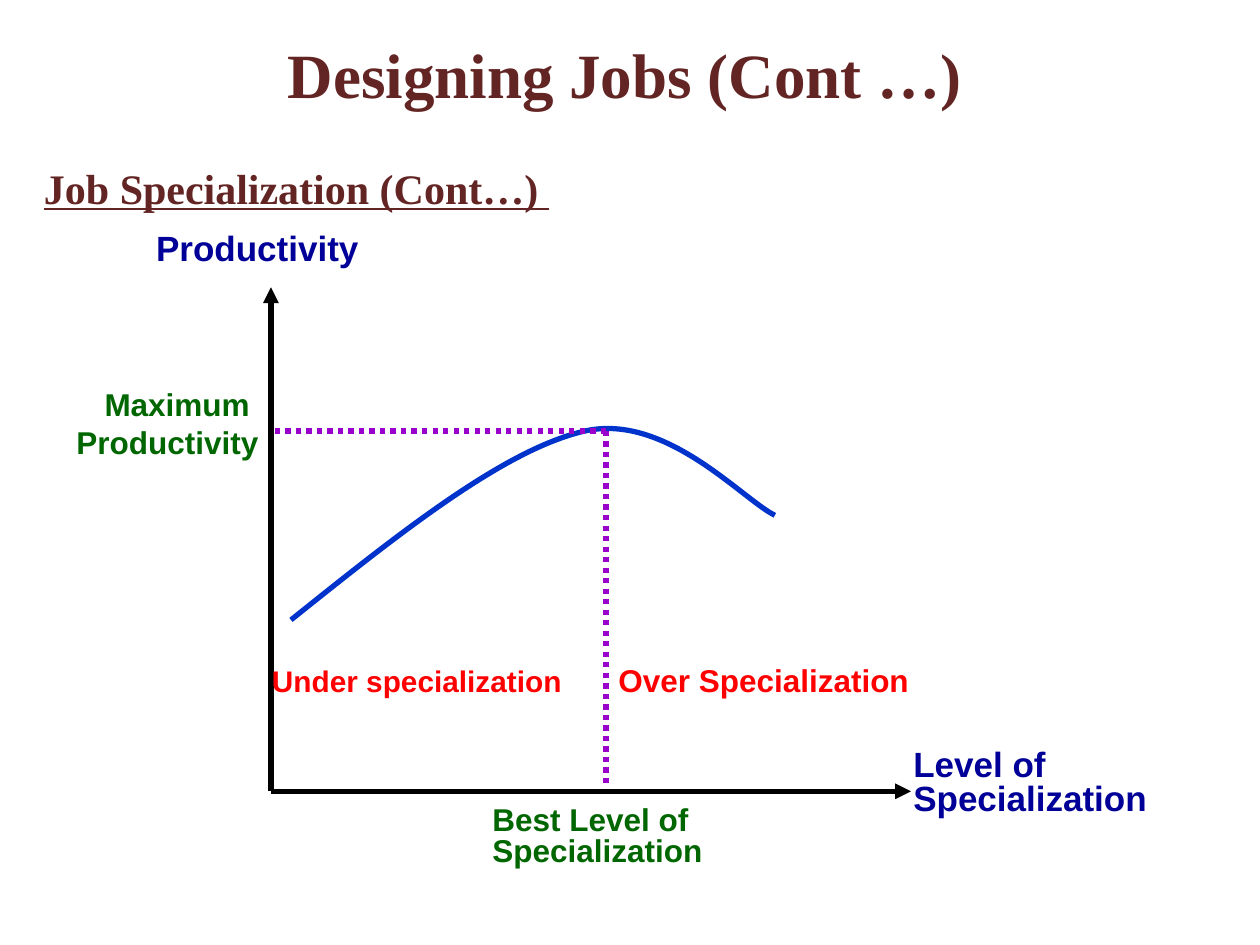
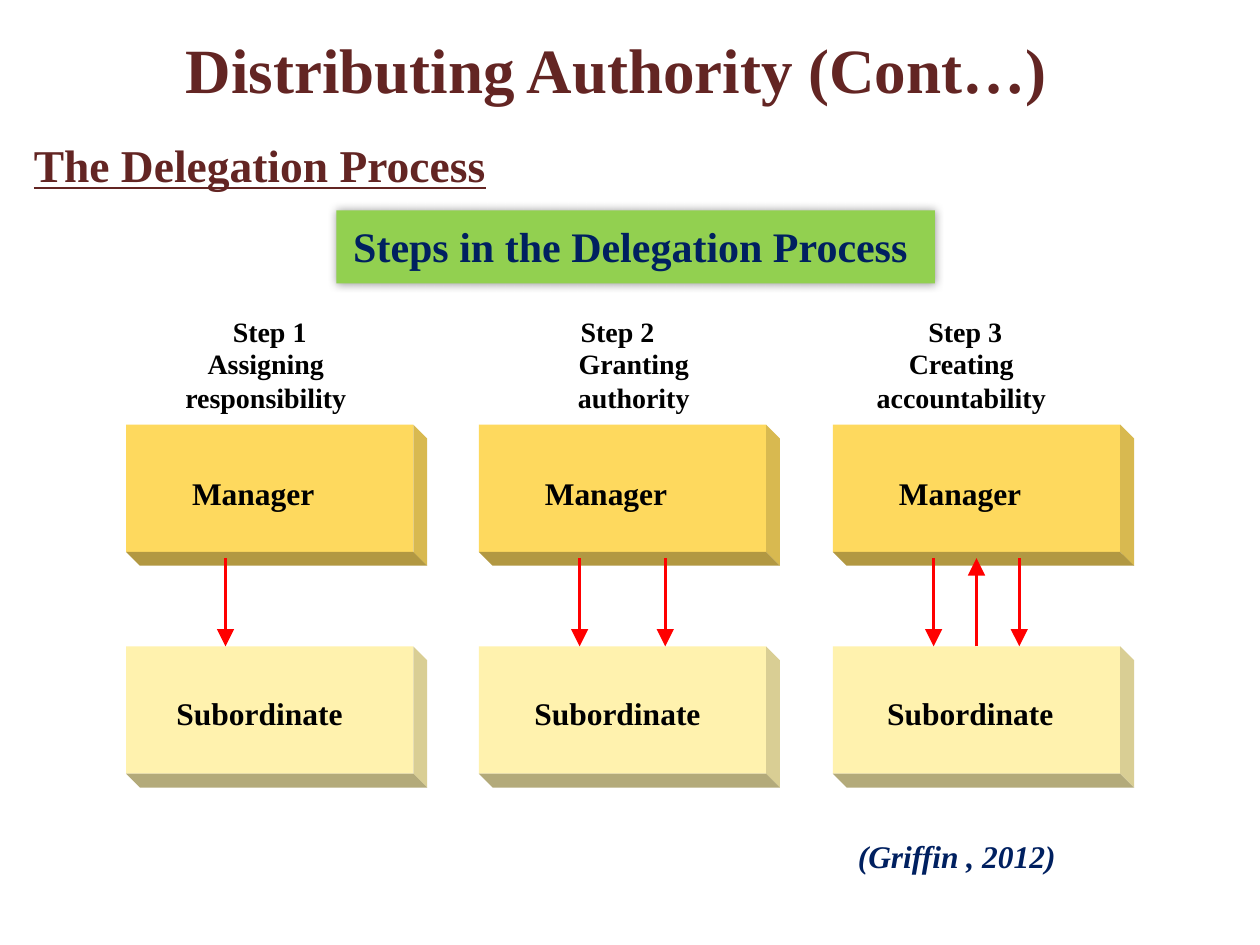
from lxml.etree import SubElement
from pptx import Presentation
from pptx.dml.color import RGBColor
from pptx.enum.dml import MSO_LINE
from pptx.enum.shapes import MSO_CONNECTOR, MSO_SHAPE
from pptx.enum.text import MSO_ANCHOR, MSO_AUTO_SIZE, PP_ALIGN
from pptx.oxml.ns import qn
from pptx.util import Pt

PX = 9144  # one hundredth of an inch in EMU
COLOURS = {
    "maroon": "632523", "navy": "002060", "axis label": "000099",
    "green": "006600", "red": "FF0000", "black": "000000",
    "curve": "0033CC", "guide": "9900CC", "banner": "92D050",
}
INK = {name: RGBColor.from_string(value) for name, value in COLOURS.items()}
SERIF, SANS = "Times New Roman", "Arial"
LEFT, CENTER, RIGHT = PP_ALIGN.LEFT, PP_ALIGN.CENTER, PP_ALIGN.RIGHT
TITLE = {"name": SERIF, "size": Pt(36), "bold": True}
SUBTITLE = {"name": SERIF, "bold": True, "underline": True}


def write(frame, text, ink, style, align=LEFT, layout=None):
    """Fill a text frame, one paragraph per line of text."""
    for name, value in (layout or {"word_wrap": True}).items():
        setattr(frame, name, value)
    frame.text = text
    for para in frame.paragraphs:
        para.alignment = align
        for name, value in style.items():
            setattr(para.font, name, value)
        para.font.color.rgb = INK[ink]


def draw_line(page, start, end, ink, width, head=None, dash=None):
    """Draw a straight connector, with an arrowhead of the given size."""
    ends = [value * PX for value in (*start, *end)]
    line = page.shapes.add_connector(MSO_CONNECTOR.STRAIGHT, *ends)
    line.line.color.rgb = INK[ink]
    line.line.width = Pt(width)
    if dash:
        line.line.dash_style = dash
    properties = line._element.spPr
    if head:
        SubElement(properties.find(qn("a:ln")), qn("a:tailEnd"), type="triangle", w=head, len=head)
    SubElement(properties, qn("a:effectLst"))
    return line


deck = Presentation()
deck.slide_width, deck.slide_height = 1000 * PX, 750 * PX

# Titles and subtitles of both slides
HEADS = [
    ("Designing Jobs (Cont …) ", (52, 17, 900, 83),
     "Job Specialization (Cont…) ", (25, 124, 958, 51), 24),
    ("Distributing Authority (Cont…) ", (33, 25, 925, 58),
     "The Delegation Process", (17, 104, 958, 54), 26),
]
pages = []
for title, title_box, subtitle, subtitle_box, size in HEADS:
    page = deck.slides.add_slide(deck.slide_layouts[5])
    holder = page.shapes.title
    holder.left, holder.top, holder.width, holder.height = [value * PX for value in title_box]
    centred = {"word_wrap": True, "auto_size": MSO_AUTO_SIZE.NONE, "vertical_anchor": MSO_ANCHOR.MIDDLE}
    write(holder.text_frame, title, "maroon", TITLE, CENTER, centred)
    box = page.shapes.add_textbox(*[value * PX for value in subtitle_box])
    write(box.text_frame, subtitle, "maroon", {**SUBTITLE, "size": Pt(size)})
    pages.append(page)
productivity_page, delegation_page = pages

# Slide 1: axes
origin, peak = (215, 628), (481, 342)
for tip in [(215, 228), (723, 628)]:
    draw_line(productivity_page, origin, tip, "black", 3, "med")

# Productivity curve: each run of three points becomes one Bezier segment
points = [(316, 424), (401, 356), (465, 342), (529, 328), (590, 397), (615, 409)]
builder = productivity_page.shapes.build_freeform(231, 492, scale=PX)
builder.add_line_segments(points, close=False)
curve = builder.convert_to_shape()
curve.shadow.inherit = False
curve.fill.background()
curve.line.color.rgb = INK["curve"]
curve.line.width = Pt(3)
outline = curve._element.find(".//" + qn("a:path"))
steps = outline.findall(qn("a:lnTo"))
for first in range(0, len(steps), 3):
    segment = SubElement(outline, qn("a:cubicBezTo"))
    for step in steps[first:first + 3]:
        segment.append(step[0])
        outline.remove(step)

# Guides from the peak to both axes
for foot in [(481, 625), (215, 342)]:
    draw_line(productivity_page, peak, foot, "guide", 3, dash=MSO_LINE.ROUND_DOT)

# Chart labels: text, box, colour, size, alignment, line spacing
LABELS = [
    ("Under specialization", (206, 521, 268, 38), "red", 17, LEFT, 1.0),
    ("Over Specialization", (481, 520, 254, 40), "red", 18, LEFT, 1.0),
    ("Productivity", (114, 175, 181, 43), "axis label", 20, LEFT, 1.0),
    ("Level of\nSpecialization", (715, 591, 206, 64), "axis label", 20, LEFT, 0.8),
    ("Best Level of\nSpecialization", (381, 636, 188, 58), "green", 18, LEFT, 0.8),
    ("Maximum \nProductivity", (33, 301, 182, 70), "green", 18, RIGHT, 1.0),
]
for text, place, ink, size, align, spacing in LABELS:
    box = productivity_page.shapes.add_textbox(*[value * PX for value in place])
    layout = {"word_wrap": align == RIGHT, "auto_size": MSO_AUTO_SIZE.SHAPE_TO_FIT_TEXT}
    write(box.text_frame, text, ink, {"name": SANS, "size": Pt(size), "bold": True}, align, layout)
    for para in box.text_frame.paragraphs:
        para.line_spacing = spacing

# Slide 2: banner with a soft glow-like shadow
banner = delegation_page.shapes.add_shape(
    MSO_SHAPE.RECTANGLE, *[value * PX for value in (267, 167, 475, 58)])
banner.shadow.inherit = False
banner.fill.solid()
banner.fill.fore_color.rgb = INK["banner"]
banner.line.fill.background()
effects = banner._element.spPr.find(qn("a:effectLst"))
shadow = SubElement(effects, qn("a:outerShdw"), blurRad=str(Pt(5)), dist="0", dir="0", rotWithShape="0")
shade = SubElement(shadow, qn("a:srgbClr"), val=COLOURS["black"])
SubElement(shade, qn("a:alpha"), val="40000")
write(banner.text_frame, "Steps in the Delegation Process ", "navy",
      {"name": SERIF, "size": Pt(24), "bold": True}, CENTER,
      {"word_wrap": True, "vertical_anchor": MSO_ANCHOR.TOP, "margin_top": 8 * PX})

# Three columns: a manager block above a subordinate block, joined by arrows
FRONT_WIDTH, FRONT_HEIGHT, DEPTH = 228, 101, 11
right, base = FRONT_WIDTH + DEPTH, FRONT_HEIGHT + DEPTH
SIDE = [(FRONT_WIDTH, 0), (right, DEPTH), (right, base), (FRONT_WIDTH, FRONT_HEIGHT)]
UNDERSIDE = [(0, FRONT_HEIGHT), (FRONT_WIDTH, FRONT_HEIGHT), (right, base), (DEPTH, base)]
BLOCKS = [  # top, then colours of front, side and underside
    (337, "FED95E", "D8B950", "B29842"),
    (513, "FFF2AE", "D9CE94", "B3AA7A"),
]
COLUMNS = [  # heading and its centre, subordinate label centre, downward arrows
    ("Assigning\vresponsibility", 211, 206, [79]),
    ("Granting\vauthority", 503, 490, [80, 148]),
    ("Creating\vaccountability", 763, 770, [80, 148]),
]
tight = dict.fromkeys(["margin_left", "margin_top", "margin_right", "margin_bottom"], 0)
tight.update(word_wrap=False, auto_size=MSO_AUTO_SIZE.SHAPE_TO_FIT_TEXT)

for index, (heading, heading_centre, label_centre, arrows) in enumerate(COLUMNS):
    left = 100 + index * 561 // 2
    for top, front_fill, side_fill, underside_fill in BLOCKS:
        front = delegation_page.shapes.add_shape(
            MSO_SHAPE.RECTANGLE, left * PX, top * PX, FRONT_WIDTH * PX, FRONT_HEIGHT * PX)
        faces = [(front, front_fill)]
        for corners, fill in [(SIDE, side_fill), (UNDERSIDE, underside_fill)]:
            corners = [(left + x, top + y) for x, y in corners]
            builder = delegation_page.shapes.build_freeform(*corners[0], scale=PX)
            builder.add_line_segments(corners[1:])
            faces.append((builder.convert_to_shape(), fill))
        for face, fill in faces:
            face.shadow.inherit = False
            face.fill.solid()
            face.fill.fore_color.rgb = RGBColor.from_string(fill)
            face.line.fill.background()

    captions = [  # text, centre, top, width, height, size
        (f"Step {index + 1}", 214 + 276 * index, 250, 62, 30, 16),
        (heading, heading_centre, 275, 156, 61, 16),
        ("Manager", left + 101, 376, 102, 34, 18),
        ("Subordinate", label_centre, 551, 138, 34, 18),
    ]
    for text, centre, top, width, height, size in captions:
        box = delegation_page.shapes.add_textbox(
            (centre - width // 2) * PX, top * PX, width * PX, height * PX)
        write(box.text_frame, text, "black", {"name": SERIF, "size": Pt(size), "bold": True}, CENTER, tight)

    for offset in arrows:
        draw_line(delegation_page, (left + offset, 443), (left + offset, 513), "red", 1.75, "lg")

# Accountability runs back up from the last subordinate
middle = left + FRONT_WIDTH // 2
answer = draw_line(delegation_page, (middle, 513), (middle, 443), "red", 1.75, "lg")
answer.begin_connect(front, 0)

# Citation
box = delegation_page.shapes.add_textbox(*[value * PX for value in (600, 658, 325, 42)])
write(box.text_frame, "(Griffin , 2012) ", "navy",
      {"name": SERIF, "size": Pt(18), "bold": True, "italic": True}, CENTER,
      {"word_wrap": True, "vertical_anchor": MSO_ANCHOR.MIDDLE})

deck.save("out.pptx")
